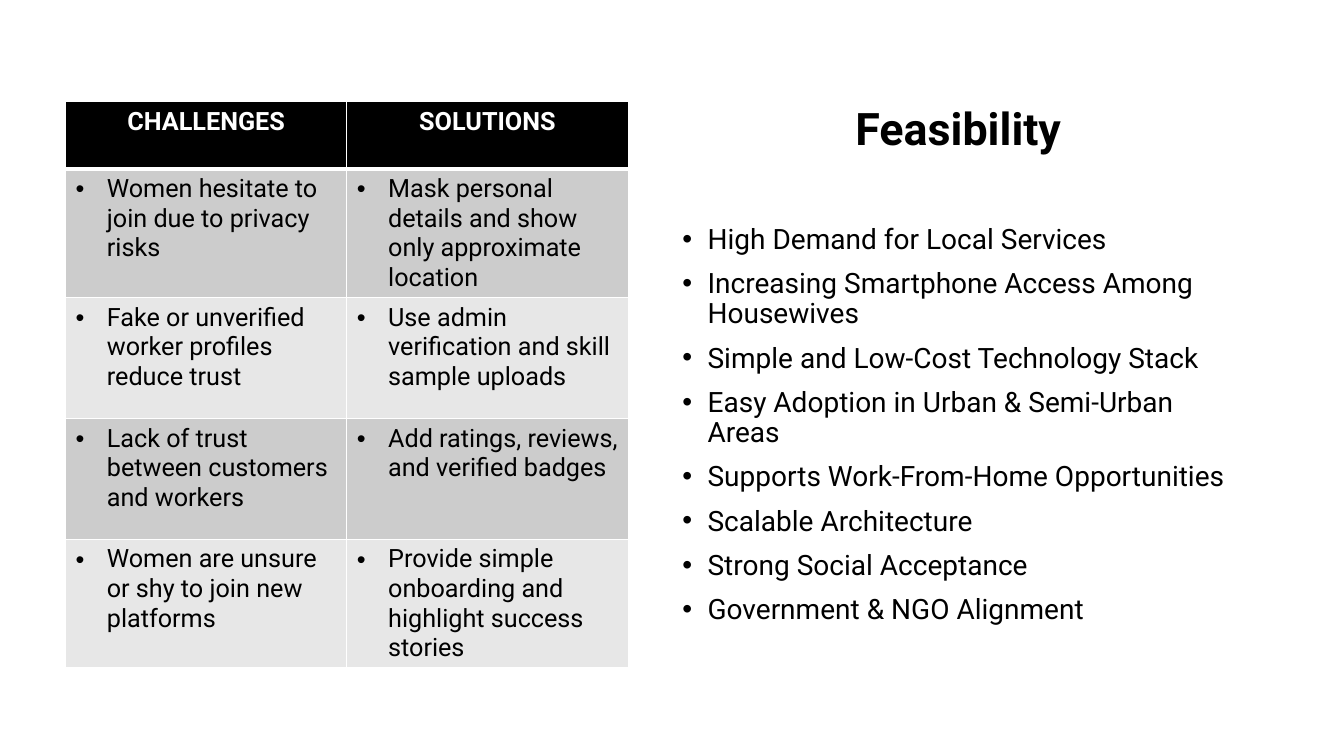
from dataclasses import dataclass

from lxml.etree import SubElement
from pptx import Presentation
from pptx.dml.color import RGBColor as RGB
from pptx.enum.text import PP_ALIGN as Align
from pptx.oxml.ns import qn
from pptx.util import Pt

PX = 9144  # 100 px to the inch


@dataclass(frozen=True)
class Theme:
    font: str = "Roboto"
    black: str = "000000"
    white: str = "FFFFFF"
    bands: tuple = ("CCCCCC", "E7E7E7")
    heading_size: int = 32
    point_size: int = 20
    table_size: int = 18


THEME = Theme()

CHALLENGES = [
    ("Women hesitate to join due to privacy risks",
     "Mask personal details and show only approximate location"),
    ("Fake or unverified worker profiles reduce trust",
     "Use admin verification and skill sample uploads"),
    ("Lack of trust between customers and workers",
     "Add ratings, reviews, and verified badges"),
    ("Women are unsure or shy to join new platforms",
     "Provide simple onboarding and highlight success stories"),
]
FEASIBILITY = [
    "High Demand for Local Services",
    "Increasing Smartphone Access Among Housewives",
    "Simple and Low-Cost Technology Stack",
    "Easy Adoption in Urban & Semi-Urban Areas",
    "Supports Work-From-Home Opportunities",
    "Scalable Architecture",
    "Strong Social Acceptance",
    "Government & NGO Alignment",
]


def write(paragraph, text, size, color=THEME.black, bold=False, bullet_indent=0):
    """Fill a paragraph: bulleted when given an indent, centred otherwise."""
    paragraph.text = text
    if bullet_indent:
        props = paragraph._p.get_or_add_pPr()
        props.set("marL", str(bullet_indent * PX))
        props.set("indent", str(-bullet_indent * PX))
        SubElement(props, qn("a:buFont"), typeface="Arial")
        SubElement(props, qn("a:buChar"), char="•")
    else:
        paragraph.alignment = Align.CENTER
    font = paragraph.font
    font.name, font.size, font.bold = THEME.font, Pt(size), bold
    font.color.rgb = RGB.from_string(color)


def style_cell(cell, fill, bottom=1, top=1):
    """White borders, widths in points, around a solid fill."""
    props = cell._tc.get_or_add_tcPr()
    for side, width in (("L", 1), ("R", 1), ("T", top), ("B", bottom)):
        border = SubElement(props, qn(f"a:ln{side}"), w=str(Pt(width)))
        solid = SubElement(border, qn("a:solidFill"))
        SubElement(solid, qn("a:srgbClr"), val=THEME.white)
    cell.fill.solid()
    cell.fill.fore_color.rgb = RGB.from_string(fill)


def challenges_table(slide, left, top, width, header_height, row_height):
    height = header_height + row_height * len(CHALLENGES)
    table = slide.shapes.add_table(
        len(CHALLENGES) + 1, 2, left * PX, top * PX, width * PX, height * PX).table
    table.horz_banding = False

    # Header
    table.rows[0].height = header_height * PX
    for cell, title in zip(table.rows[0].cells, ("CHALLENGES", "SOLUTIONS")):
        style_cell(cell, THEME.black, bottom=3)
        write(cell.text_frame.paragraphs[0], title, THEME.table_size, THEME.white, True)

    # Challenge and solution pairs
    for index, pair in enumerate(CHALLENGES):
        row = table.rows[index + 1]
        row.height = row_height * PX
        for cell, text in zip(row.cells, pair):
            style_cell(cell, THEME.bands[index % 2], top=1 if index else 3)
            write(cell.text_frame.paragraphs[0], text, THEME.table_size, bullet_indent=31)


def feasibility_list(slide, left, top, width, height):
    frame = slide.shapes.add_textbox(
        left * PX, top * PX, width * PX, height * PX).text_frame
    frame.word_wrap = True

    # Heading
    heading = frame.paragraphs[0]
    heading.line_spacing, heading.space_before = 0.9, Pt(10)
    write(heading, "Feasibility", THEME.heading_size, bold=True)

    # Points, the first set well below the heading
    for index, text in enumerate(FEASIBILITY):
        point = frame.add_paragraph()
        point.line_spacing, point.space_before = 0.9, Pt(10 if index else 50)
        write(point, text, THEME.point_size, bullet_indent=25)


def main():
    deck = Presentation()
    deck.slide_width, deck.slide_height = 1333 * PX, 750 * PX
    slide = deck.slides.add_slide(deck.slide_layouts[6])
    challenges_table(slide, 65, 101, 558, header_height=67, row_height=120)
    feasibility_list(slide, 667, 101, 567, 568)
    deck.save("out.pptx")


if __name__ == "__main__":
    main()
